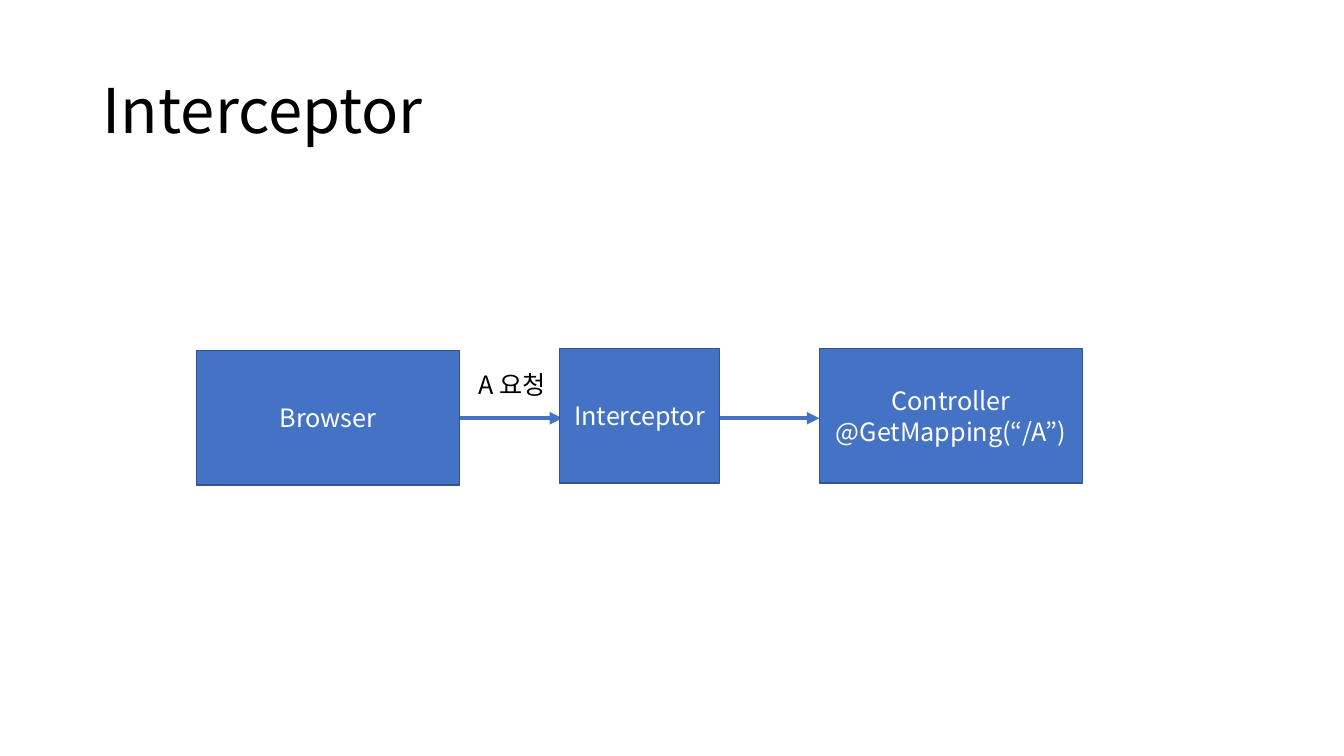
"""Build the Interceptor request flow slide."""
import pptx
import pptx.util
import pptx.dml.color
import pptx.enum.shapes
import pptx.enum.text
import pptx.oxml
import pptx.oxml.ns
from lxml import etree

Cm, Pt = pptx.util.Cm, pptx.util.Pt
RGB = pptx.dml.color.RGBColor.from_string
ALIGN = pptx.enum.text.PP_ALIGN
MIDDLE = pptx.enum.text.MSO_ANCHOR.MIDDLE
AUTO = pptx.enum.text.MSO_AUTO_SIZE
qn = pptx.oxml.ns.qn
FONT = "Noto Sans CJK KR"
COLORS = {"text": "000000", "box": "4472C4", "border": "325491", "box_text": "FFFFFF"}


def write(tf, text, size, color, align, **frame):
    for name, value in {"word_wrap": True, **frame}.items():
        setattr(tf, name, value)
    tf.text = text
    for p in tf.paragraphs:
        p.alignment = align
        for r in p.runs:
            for name, value in {"name": FONT, "size": Pt(size)}.items():
                setattr(r.font, name, value)
            r.font.color.rgb = RGB(COLORS[color])
            etree.SubElement(r.font._element, qn("a:ea"), typeface=FONT)


prs = pptx.Presentation()
prs.slide_width, prs.slide_height = Cm(33.87), Cm(19.05)
s = prs.slides.add_slide(prs.slide_layouts[5])

title = s.shapes.title
for name, value in {"left": 2.34, "top": 1.02, "width": 29.21, "height": 3.68}.items():
    setattr(title, name, Cm(value))
write(title.text_frame, "Interceptor", 44, "text", ALIGN.LEFT,
      vertical_anchor=MIDDLE, auto_size=AUTO.NONE)
title.text_frame.paragraphs[0].line_spacing = 0.9

arrow_y = Cm(10.54)
for start, end in [(11.58, 14.17), (18.14, 20.65)]:
    arrow = s.shapes.add_connector(
        pptx.enum.shapes.MSO_CONNECTOR.STRAIGHT, Cm(start), arrow_y, Cm(end), arrow_y)
    arrow.line.color.rgb = RGB(COLORS["box"])
    arrow.line.width = Pt(3)
    etree.SubElement(arrow.line._get_or_add_ln(), qn("a:tailEnd"), type="triangle")
    etree.SubElement(arrow._element.spPr, qn("a:effectLst"))

for text, left, top, width in [
    ("Browser", 4.95, 8.84, 6.63),
    ("Interceptor", 14.1, 8.79, 4.04),
    ("Controller\n@GetMapping(“/A”)", 20.65, 8.79, 6.63),
]:
    sp = s.shapes.add_shape(pptx.enum.shapes.MSO_SHAPE.RECTANGLE,
                            Cm(left), Cm(top), Cm(width), Cm(3.38))
    sp.shadow.inherit = False
    sp.fill.solid()
    sp.fill.fore_color.rgb = RGB(COLORS["box"])
    sp.line.color.rgb = RGB(COLORS["border"])
    sp.line.width = Pt(1)
    write(sp.text_frame, text, 18, "box_text", ALIGN.CENTER, vertical_anchor=MIDDLE)

label = s.shapes.add_textbox(Cm(11.25), Cm(9.17), Cm(3.33), Cm(1.02))
write(label.text_frame, "A 요청", 18, "text", ALIGN.CENTER,
      auto_size=AUTO.SHAPE_TO_FIT_TEXT)

prs.save("out.pptx")
